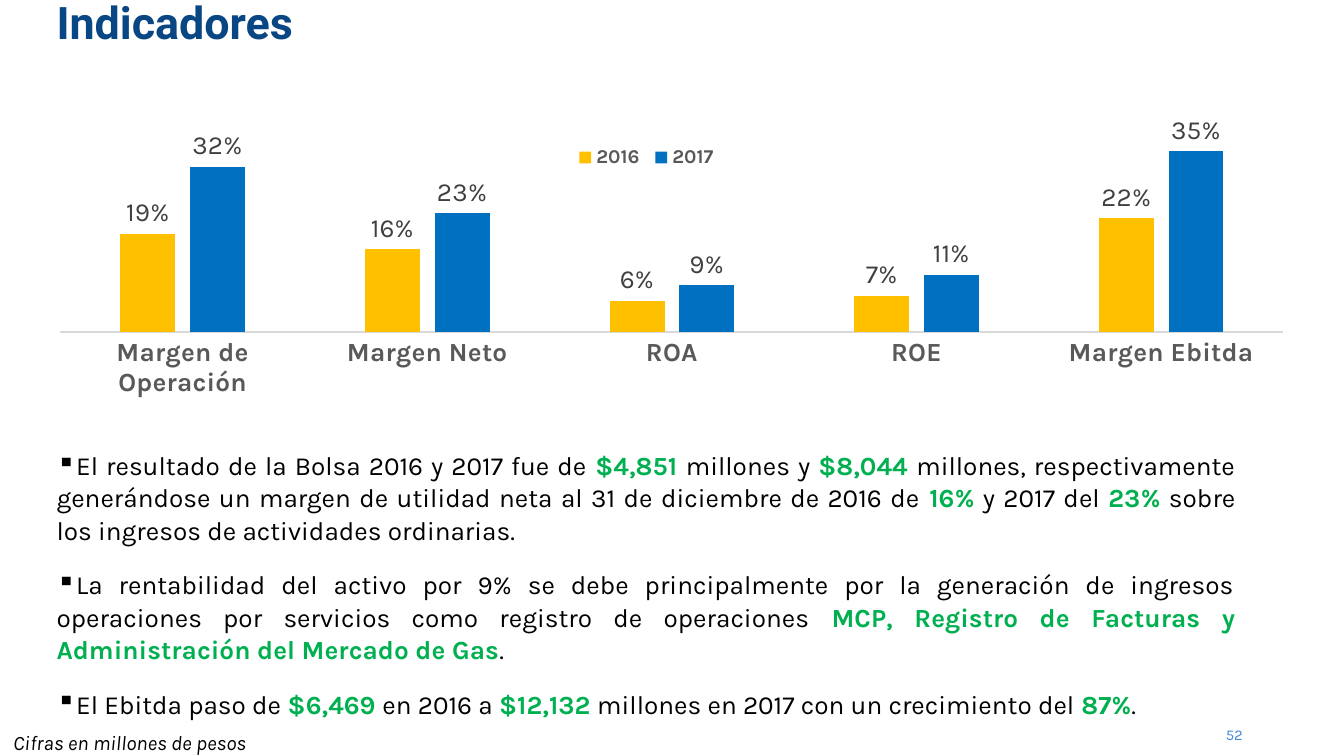
from dataclasses import dataclass

from lxml.etree import SubElement
from pptx import Presentation
from pptx.chart.data import CategoryChartData
from pptx.dml.color import RGBColor
from pptx.enum.chart import XL_CHART_TYPE as ChartType
from pptx.enum.chart import XL_LABEL_POSITION as LabelPosition
from pptx.enum.chart import XL_LEGEND_POSITION as LegendPosition
from pptx.enum.chart import XL_TICK_LABEL_POSITION as TickLabels
from pptx.enum.chart import XL_TICK_MARK as TickMark
from pptx.enum.text import MSO_ANCHOR as Anchor
from pptx.enum.text import PP_ALIGN as Align
from pptx.oxml.ns import qn
from pptx.util import Cm, Pt

BLACK = RGBColor(0x00, 0x00, 0x00)
NAVY = RGBColor(0x09, 0x47, 0x84)
LIGHT_BLUE = RGBColor(0x44, 0x8A, 0xD7)
GREEN = RGBColor(0x00, 0xB0, 0x50)
YELLOW = RGBColor(0xFF, 0xC0, 0x00)
BLUE = RGBColor(0x00, 0x70, 0xC0)
GRAY = RGBColor(0x59, 0x59, 0x59)
DARK_GRAY = RGBColor(0x40, 0x40, 0x40)
AXIS_GRAY = RGBColor(0xD9, 0xD9, 0xD9)


@dataclass(frozen=True)
class Box:
    left: float
    top: float
    width: float
    height: float

    def lengths(self) -> tuple:
        return Cm(self.left), Cm(self.top), Cm(self.width), Cm(self.height)


@dataclass(frozen=True)
class Style:
    size: float
    color: RGBColor
    bold: bool = False
    italic: bool = False
    name: str = "Karla"


@dataclass(frozen=True)
class Label:
    text: str
    box: Box
    style: Style
    align: Align = Align.LEFT
    anchor: Anchor = Anchor.TOP
    margins: tuple = (0, 0)
    line_spacing: float = 1.0
    wrap: bool = True


@dataclass(frozen=True)
class Year:
    name: str
    values: tuple
    color: RGBColor


LABELS = [
    Label("52", Box(22.68, 13.72, 0.81, 0.33), Style(8, LIGHT_BLUE),
          align=Align.RIGHT, anchor=Anchor.BOTTOM),
    Label("Cifras en millones de pesos", Box(0, 13.67, 6.12, 0.48),
          Style(11, BLACK, italic=True), margins=(0.25, 0.13), wrap=False),
    Label("Indicadores", Box(1.07, 0.05, 16.05, 0.86),
          Style(24, NAVY, bold=True, name="Roboto"), line_spacing=0.85),
]

CATEGORIES = ["Margen de Operación", "Margen Neto", "ROA", "ROE", "Margen Ebitda"]
YEARS = [
    Year("2016", (0.19, 0.16, 0.06, 0.07, 0.22), YELLOW),
    Year("2017", (0.32, 0.23, 0.09, 0.11, 0.35), BLUE),
]
CHART_BOX = Box(0.66, 2.18, 24.08, 6.3)
PLOT_SHARE = Box(0.02, 0.03, 0.96, 0.62)
LEGEND_SHARE = Box(0.42, 0.09, 0.12, 0.07)

COMMENTS_BOX = Box(1.07, 8.48, 22.28, 4.6)
COMMENT_STYLE = Style(14, BLACK)
HIGHLIGHT_STYLE = Style(14, GREEN, bold=True)
HIGHLIGHT_MARK = "*"
COMMENTS = [
    "El resultado de la Bolsa 2016 y 2017 fue de *$4,851 *millones y *$8,044 *millones, "
    "respectivamente generándose un margen de utilidad neta al 31 de diciembre de 2016 de "
    "*16%* y 2017 del *23%* sobre los ingresos de actividades ordinarias.",
    "La rentabilidad del activo por 9% se debe principalmente por la generación de ingresos "
    "operaciones por servicios como registro de operaciones "
    "*MCP, Registro de Facturas y Administración del Mercado de Gas*.",
    "El Ebitda paso de *$6,469 *en 2016 a *$12,132 *millones en 2017 con un crecimiento "
    "del *87%*.",
]


def set_font(font, style: Style) -> None:
    font.name = style.name
    font.size = Pt(style.size)
    font.bold = style.bold
    font.italic = style.italic
    font.color.rgb = style.color


def add_text_frame(slide, box: Box, margins: tuple = (0, 0)):
    text_frame = slide.shapes.add_textbox(*box.lengths()).text_frame
    text_frame.word_wrap = True
    text_frame.margin_left = text_frame.margin_right = Cm(margins[0])
    text_frame.margin_top = text_frame.margin_bottom = Cm(margins[1])
    return text_frame


def add_label(slide, label: Label) -> None:
    text_frame = add_text_frame(slide, label.box, label.margins)
    text_frame.word_wrap = label.wrap
    text_frame.vertical_anchor = label.anchor
    text_frame.text = label.text
    paragraph = text_frame.paragraphs[0]
    paragraph.alignment = label.align
    paragraph.line_spacing = label.line_spacing
    set_font(paragraph.runs[0].font, label.style)


def add_bullet(paragraph, character: str) -> None:
    properties = paragraph._p.get_or_add_pPr()
    properties.set("marL", "0")
    properties.set("indent", "0")
    SubElement(properties, qn("a:buChar")).set("char", character)


def add_comments(slide) -> None:
    text_frame = add_text_frame(slide, COMMENTS_BOX)
    for index, comment in enumerate(COMMENTS):
        paragraph = text_frame.add_paragraph() if index else text_frame.paragraphs[0]
        add_bullet(paragraph, "▪")
        paragraph.alignment = Align.JUSTIFY
        paragraph.line_spacing = 1.03
        paragraph.space_before = Pt(6 if index else 0)
        paragraph.space_after = Pt(6)
        for position, part in enumerate(comment.split(HIGHLIGHT_MARK)):
            run = paragraph.add_run()
            run.text = part
            set_font(run.font, HIGHLIGHT_STYLE if position % 2 else COMMENT_STYLE)


def set_layout(element, share: Box, inner: bool = False) -> None:
    layout = element.find(qn("c:layout"))
    if layout is None:
        layout = SubElement(element, qn("c:layout"))
        anchor = element.find(qn("c:legendPos"))
        if anchor is None:
            element.insert(0, layout)
        else:
            anchor.addnext(layout)
    manual = SubElement(layout, qn("c:manualLayout"))
    settings = [("layoutTarget", "inner")] if inner else []
    settings += [("xMode", "edge"), ("yMode", "edge"), ("x", share.left),
                 ("y", share.top), ("w", share.width), ("h", share.height)]
    for tag, value in settings:
        SubElement(manual, qn(f"c:{tag}")).set("val", str(value))


def add_indicator_chart(slide) -> None:
    data = CategoryChartData(number_format="0%")
    data.categories = CATEGORIES
    for year in YEARS:
        data.add_series(year.name, year.values)
    chart = slide.shapes.add_chart(
        ChartType.COLUMN_CLUSTERED, *CHART_BOX.lengths(), data).chart
    set_font(chart.font, Style(10, BLACK))
    chart.has_title = False

    chart.has_legend = True
    chart.legend.position = LegendPosition.BOTTOM
    chart.legend.include_in_layout = False
    set_font(chart.legend.font, Style(10.5, GRAY, bold=True))
    set_layout(chart.legend._element, LEGEND_SHARE)
    set_layout(chart._chartSpace.chart.plotArea, PLOT_SHARE, inner=True)

    category_axis, value_axis = chart.category_axis, chart.value_axis
    category_axis.major_tick_mark = value_axis.major_tick_mark = TickMark.NONE
    set_font(category_axis.tick_labels.font, Style(14, GRAY, bold=True))
    category_axis.format.line.color.rgb = AXIS_GRAY
    category_axis.format.line.width = Pt(0.75)
    value_axis.minimum_scale = 0
    value_axis.maximum_scale = 0.4
    value_axis.has_major_gridlines = False
    value_axis.tick_label_position = TickLabels.NONE
    value_axis.format.line.fill.background()

    plot = chart.plots[0]
    plot.gap_width = 219
    plot.overlap = -27
    plot.vary_by_categories = False
    for series, year in zip(plot.series, YEARS):
        series.format.fill.solid()
        series.format.fill.fore_color.rgb = year.color
        labels = series.data_labels
        labels.show_value = True
        labels.number_format = "0%"
        labels.number_format_is_linked = False
        labels.position = LabelPosition.OUTSIDE_END
        set_font(labels.font, Style(14, DARK_GRAY))


def main() -> None:
    presentation = Presentation()
    presentation.slide_width, presentation.slide_height = Cm(25.4), Cm(14.29)
    slide = presentation.slides.add_slide(presentation.slide_layouts[6])
    for label in LABELS:
        add_label(slide, label)
    add_comments(slide)
    add_indicator_chart(slide)
    presentation.save("out.pptx")


if __name__ == "__main__":
    main()
